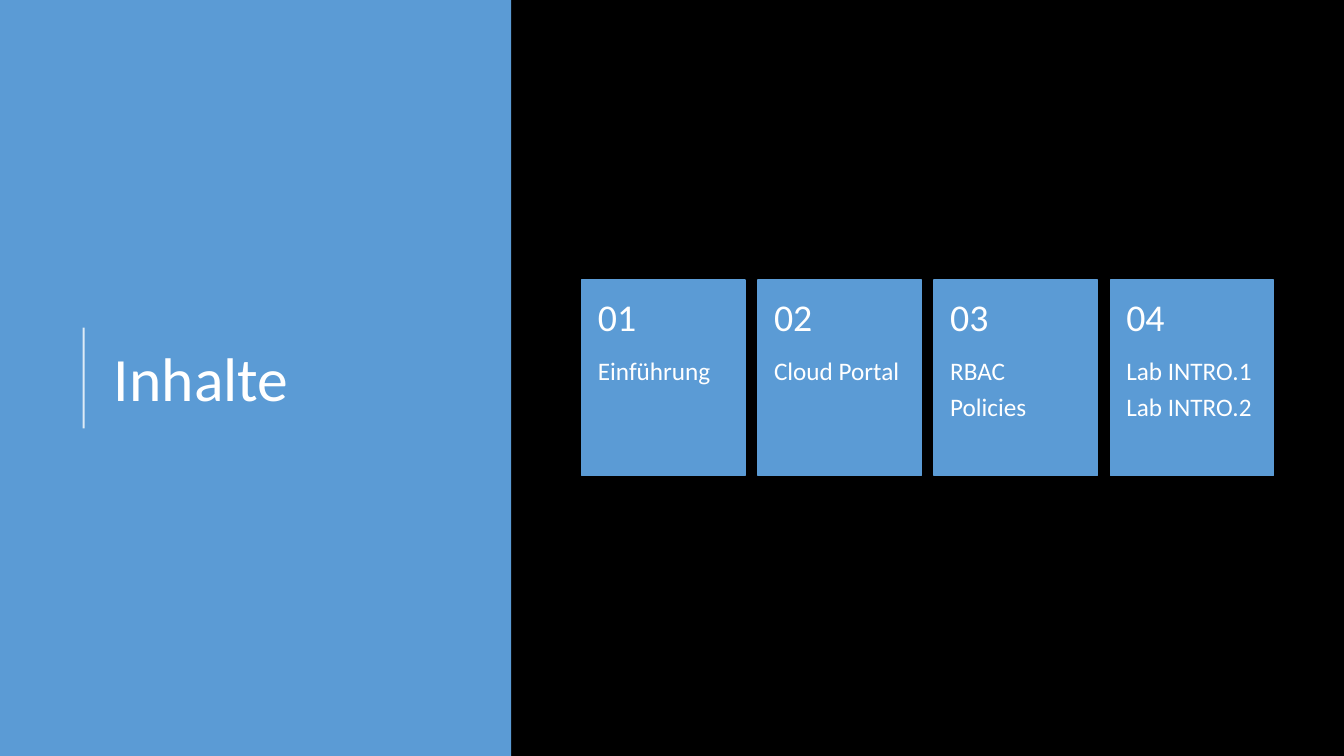
from dataclasses import dataclass

from lxml.etree import SubElement
from pptx import Presentation
from pptx.dml.color import RGBColor
from pptx.enum.shapes import MSO_CONNECTOR, MSO_SHAPE
from pptx.enum.text import MSO_ANCHOR, MSO_AUTO_SIZE, PP_ALIGN
from pptx.oxml.ns import qn
from pptx.util import Inches, Pt


@dataclass(frozen=True)
class Theme:
    font: str = "Calibri"
    back: RGBColor = RGBColor(0x00, 0x00, 0x00)
    blue: RGBColor = RGBColor(0x5B, 0x9B, 0xD5)
    white: RGBColor = RGBColor(0xFF, 0xFF, 0xFF)
    title: int = 44
    number: int = 27
    body: int = 18


THEME = Theme()
TOPICS = [
    ["Einführung"],
    ["Cloud Portal"],
    ["RBAC", "Policies"],
    ["Lab INTRO.1", "Lab INTRO.2"],
]
LEFT, TOP, PITCH = 5.77, 2.78, 1.747
WIDTH, HEAD, BODY = 1.62, 0.78, 1.16


def style(item, values):
    for name, value in values.items():
        setattr(item, name, value)


def place(shape, box):
    names = ("left", "top", "width", "height")
    style(shape, dict(zip(names, map(Inches, box))))


def write(shape, lines, size, anchor, pad, after=0):
    """Fill a shape with paragraphs; pad is left, top, right, bottom."""
    frame = shape.text_frame
    frame.text = "\n".join(lines)
    sides = ("margin_left", "margin_top", "margin_right", "margin_bottom")
    style(frame, dict(zip(sides, map(Inches, pad))))
    style(frame, {
        "word_wrap": True,
        "auto_size": MSO_AUTO_SIZE.NONE,
        "vertical_anchor": anchor,
    })
    for para in frame.paragraphs:
        style(para, {
            "alignment": PP_ALIGN.LEFT,
            "line_spacing": 0.9,
            "space_before": Pt(0),
            "space_after": Pt(after),
        })
        style(para.runs[0].font, {"name": THEME.font, "size": Pt(size)})
        para.runs[0].font.color.rgb = THEME.white


def add_block(shapes, box, edge=False):
    block = shapes.add_shape(MSO_SHAPE.RECTANGLE, *map(Inches, box))
    block.shadow.inherit = False
    block.fill.solid()
    block.fill.fore_color.rgb = THEME.blue
    if edge:
        block.line.color.rgb = THEME.blue
        block.line.width = Pt(1)
    else:
        block.line.fill.background()


def add_rule(shapes, x, start, end):
    """Draw a vertical white line at 80 percent opacity."""
    ends = map(Inches, (x, start, x, end))
    rule = shapes.add_connector(MSO_CONNECTOR.STRAIGHT, *ends)
    rule.line.color.rgb = THEME.white
    rule.line.width = Pt(1.5)
    props = rule._element.spPr
    color = props.find(".//" + qn("a:srgbClr"))
    SubElement(color, qn("a:alpha"), val="80000")
    SubElement(props, qn("a:effectLst"))


def add_title(slide, text):
    title = slide.shapes.title
    place(title, (1.03, 0.78, 3.69, 6.02))
    write(title, [text], THEME.title, MSO_ANCHOR.MIDDLE,
          (0.1, 0.05, 0.1, 0.05))
    # Bring the title in front of the blue panel
    slide.shapes._spTree.append(title._element)


def add_card(shapes, index, lines):
    x = LEFT + index * PITCH
    add_block(shapes, (x, TOP, WIDTH, HEAD + BODY), edge=True)
    body = shapes.add_textbox(*map(Inches, (x, TOP + HEAD, WIDTH, BODY)))
    write(body, lines, THEME.body, MSO_ANCHOR.TOP,
          (0.16, 0, 0.16, 0.36), after=6)
    head = shapes.add_textbox(*map(Inches, (x, TOP, WIDTH, HEAD)))
    write(head, [f"{index + 1:02}"], THEME.number, MSO_ANCHOR.MIDDLE,
          (0.16, 0.18, 0.16, 0.18))


def main():
    deck = Presentation()
    style(deck, {"slide_width": Inches(13.33), "slide_height": Inches(7.5)})
    slide = deck.slides.add_slide(deck.slide_layouts.get_by_name("Title Only"))
    slide.background.fill.solid()
    slide.background.fill.fore_color.rgb = THEME.back
    add_block(slide.shapes, (0, 0, 5.07, 7.5))
    add_rule(slide.shapes, 0.83, 4.25, 3.25)
    add_title(slide, "Inhalte")
    cards = slide.shapes.add_group_shape().shapes
    for index, lines in enumerate(TOPICS):
        add_card(cards, index, lines)
    deck.save("out.pptx")


if __name__ == "__main__":
    main()
